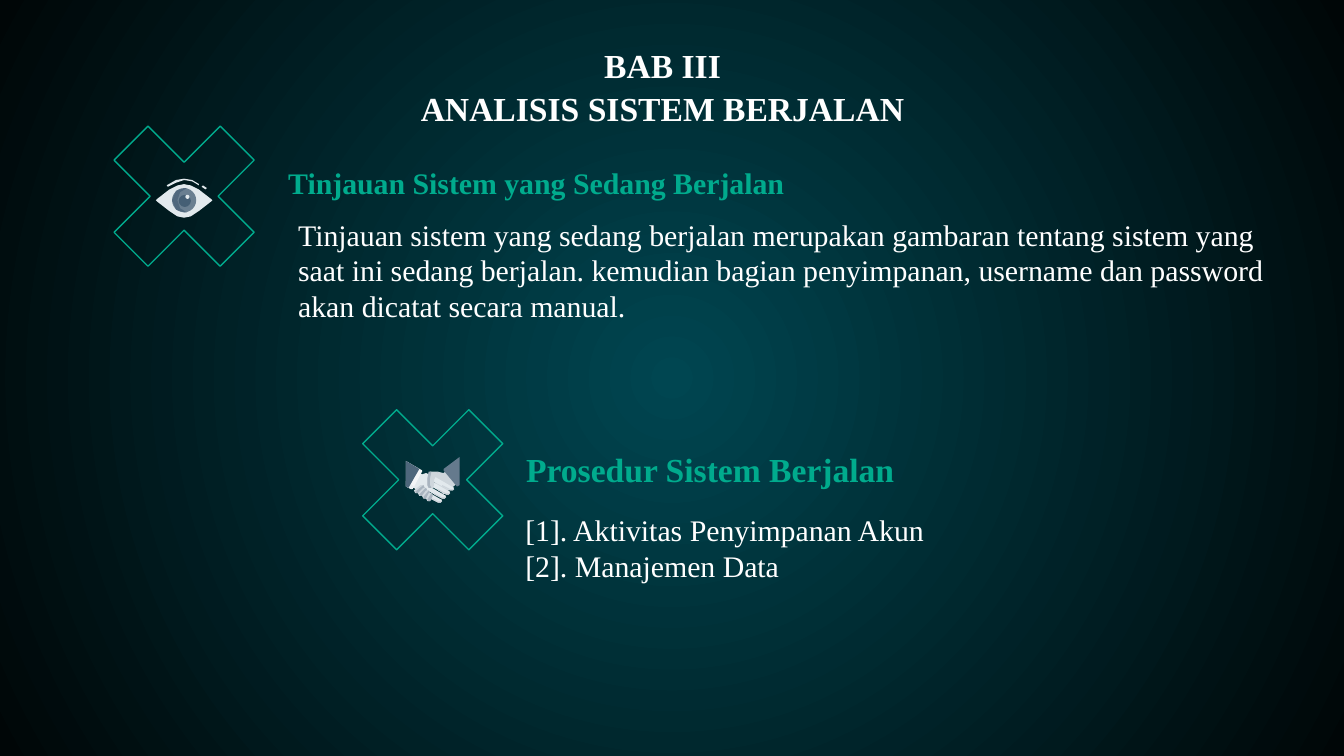
from dataclasses import dataclass

from lxml import etree
from pptx import Presentation
from pptx.dml.color import RGBColor
from pptx.enum.shapes import MSO_SHAPE
from pptx.enum.text import MSO_ANCHOR, PP_ALIGN
from pptx.oxml import parse_xml
from pptx.oxml.ns import nsdecls, qn
from pptx.util import Inches, Pt

CROSS, OVAL = MSO_SHAPE.MATH_MULTIPLY, MSO_SHAPE.OVAL
LEFT, CENTER = PP_ALIGN.LEFT, PP_ALIGN.CENTER
TOP, BOTTOM = MSO_ANCHOR.TOP, MSO_ANCHOR.BOTTOM


@dataclass(frozen=True)
class Theme:
    font: str = "Times New Roman"
    title_size: int = 18
    body_size: int = 16
    glow: str = "004651"
    night: str = "000607"
    accent: str = "00AB8D"
    white: str = "FFFFFF"
    pale: str = "E2E9ED"
    cuff: str = "F4F6F8"
    cuff_shade: str = "E8EDF1"
    skin: str = "CED6DC"
    shade: str = "A9B4BF"
    right_sleeve: str = "657A8D"
    left_sleeve: str = "4E677C"
    iris: str = "6A7F91"
    iris_shade: str = "50687E"
    pupil: str = "455F75"


theme = Theme()


def write(box, text, place, size, color, bold=False, align=LEFT, anchor=TOP,
          spacing=1.0, after=0):
    box.left, box.top, box.width, box.height = map(Inches, place)
    frame = box.text_frame
    frame.text = text
    frame.word_wrap = True
    frame.vertical_anchor = anchor
    frame.margin_left = frame.margin_right = Inches(0.1)
    frame.margin_top = frame.margin_bottom = Inches(0.1)
    for paragraph in frame.paragraphs:
        paragraph.alignment = align
        paragraph.line_spacing = spacing
        paragraph.space_before = Pt(0)
        paragraph.space_after = Pt(after)
        for run in paragraph.runs:
            run.font.name = theme.font
            run.font.size = Pt(size)
            run.font.bold = bold
            run.font.color.rgb = RGBColor.from_string(color)


def draw(points, color):
    """Fill an outline given in hundredths of an inch."""
    builder = slide.shapes.build_freeform(*points[0], scale=Inches(0.01))
    builder.add_line_segments(points[1:], close=True)
    outline = builder.convert_to_shape()
    outline.shadow.inherit = False
    outline.fill.solid()
    outline.fill.fore_color.rgb = RGBColor.from_string(color)
    outline.line.fill.background()


# Widescreen slide, 16:9
prs = Presentation()
prs.slide_width = Inches(10)
prs.slide_height = Inches(10 * 9 / 16)
slide = prs.slides.add_slide(prs.slide_layouts[5])

# Radial background
backdrop = slide.background.fill
backdrop.gradient()
for stop, color in zip(backdrop.gradient_stops, (theme.glow, theme.night)):
    stop.color.rgb = RGBColor.from_string(color)
linear = next(slide.element.iter(qn("a:lin")))
linear.getparent().replace(linear, parse_xml(
    f'<a:path {nsdecls("a")} path="circle"/>'))
circle = next(slide.element.iter(qn("a:path")))
etree.SubElement(circle, qn("a:fillToRect"),
                 {side: "50000" for side in "ltrb"})

# Title
write(slide.shapes.title, "BAB III\vANALISIS SISTEM BERJALAN",
      (0.71, 0.21, 8.44, 0.63), theme.title_size, theme.white,
      bold=True, align=CENTER, spacing=1.07, after=8)

# Section headings
for heading, place, size, spacing in (
    ("Tinjauan Sistem yang Sedang Berjalan", (1.9, 1.01, 4.18, 0.58),
     theme.body_size, 1.0),
    ("Prosedur Sistem Berjalan", (3.64, 3.04, 3.29, 0.7),
     theme.title_size, 1.5),
):
    write(slide.shapes.add_textbox(0, 0, 0, 0), heading, place, size,
          theme.accent, bold=True, align=CENTER, anchor=BOTTOM,
          spacing=spacing)

# Section texts
for body, place in (
    ("Tinjauan sistem yang sedang berjalan merupakan gambaran tentang sistem "
     "yang saat ini sedang berjalan. kemudian bagian penyimpanan, username "
     "dan password akan dicatat secara manual.", (2.12, 1.51, 7.68, 1.26)),
    ("[1]. Aktivitas Penyimpanan Akun\n[2]. Manajemen Data",
     (3.81, 3.71, 3.29, 0.76)),
):
    write(slide.shapes.add_textbox(0, 0, 0, 0), body, place,
          theme.body_size, theme.white)

# Crosses behind the icons
for left, top in ((0.61, 0.7), (2.46, 2.81)):
    cross = slide.shapes.add_shape(CROSS, Inches(left), Inches(top),
                                   Inches(1.52), Inches(1.52))
    cross.adjustments[0] = 0.235
    cross.shadow.inherit = False
    cross.fill.background()
    cross.line.color.rgb = RGBColor.from_string(theme.accent)
    cross.line.width = Pt(0.75)

# Handshake: right hand and sleeve
draw([(334, 349), (330, 352), (326, 351), (321, 356), (330, 368), (341, 359)],
     theme.skin)
draw([(342, 340), (330, 349), (330, 350), (340, 362), (342, 361)],
     theme.right_sleeve)

# Handshake: four fingers, each with a shaded lower edge
for step in range(4):
    x, y = 324 - 3 * step, 355 + 3 * step
    draw([(x, y), (x - 2, y + 3), (x + 11, y + 10), (x + 13, y + 10),
          (x + 14, y + 8), (x + 12, y + 7)], theme.pale)
    draw([(x + 5, y + 6), (x + 5, y + 7), (x + 11, y + 10), (x + 13, y + 10),
          (x + 14, y + 9), (x + 11, y + 9)], theme.skin)

# Handshake: left hand, cuff and sleeve
draw([(310, 350), (304, 361), (317, 368), (324, 355), (317, 352), (314, 353)],
     theme.pale)
draw([(302, 343), (302, 362), (306, 364), (307, 364), (314, 351), (314, 350)],
     theme.cuff)
draw([(302, 358), (302, 362), (306, 364), (308, 362)], theme.cuff_shade)
draw([(302, 343), (302, 362), (304, 363), (312, 349)], theme.left_sleeve)

# Handshake: knuckles, shorter towards the bottom
for step in range(4):
    x, y, reach = 308 + 3 * step, 365 + 2 * step, 6 - step
    draw([(x, y), (x + reach - 1, y - 4), (x + reach + 1, y - 4),
          (x + reach + 2, y - 2), (x + 3, y + 2), (x + 1, y + 2)], theme.skin)
    draw([(x + 1, y + 1), (x + reach + 1, y - 4), (x + reach + 2, y - 2),
          (x + 3, y + 2), (x + 2, y + 2)], theme.shade)

# Handshake: thumb
draw([(320, 351), (318, 356), (318, 361), (319, 363), (322, 363), (323, 361),
      (323, 357), (326, 351)], theme.skin)
draw([(319, 351), (318, 356), (318, 361), (319, 363), (321, 363), (320, 361),
      (320, 356), (321, 351)], theme.shade)

# Eye: white of the eye, brow and lash
draw([(137, 137), (132, 138), (126, 141), (117, 148), (116, 149), (117, 150),
      (126, 157), (132, 161), (137, 162), (142, 161), (148, 157), (157, 150),
      (158, 149), (157, 148), (148, 141), (142, 138)], theme.pale)
draw([(124, 138), (131, 134), (137, 133), (143, 134), (148, 137), (148, 138),
      (143, 135), (137, 134), (131, 136), (125, 139)], theme.pale)
draw([(151, 138), (150, 139), (153, 141), (154, 140)], theme.pale)

# Eye: iris with its shaded side, pupil and glint
for left, top, size, color in (
    (1.28, 1.4, 0.18, theme.iris),
    (1.33, 1.45, 0.09, theme.pupil),
    (1.38, 1.45, 0.03, theme.pale),
):
    disc = slide.shapes.add_shape(OVAL, Inches(left), Inches(top),
                                  Inches(size), Inches(size))
    disc.shadow.inherit = False
    disc.fill.solid()
    disc.fill.fore_color.rgb = RGBColor.from_string(color)
    disc.line.fill.background()
    if color == theme.iris:
        draw([(137, 140), (131, 142), (128, 149), (131, 156), (137, 158),
              (139, 158), (134, 155), (132, 149), (134, 143), (139, 140)],
             theme.iris_shade)

prs.save("out.pptx")
